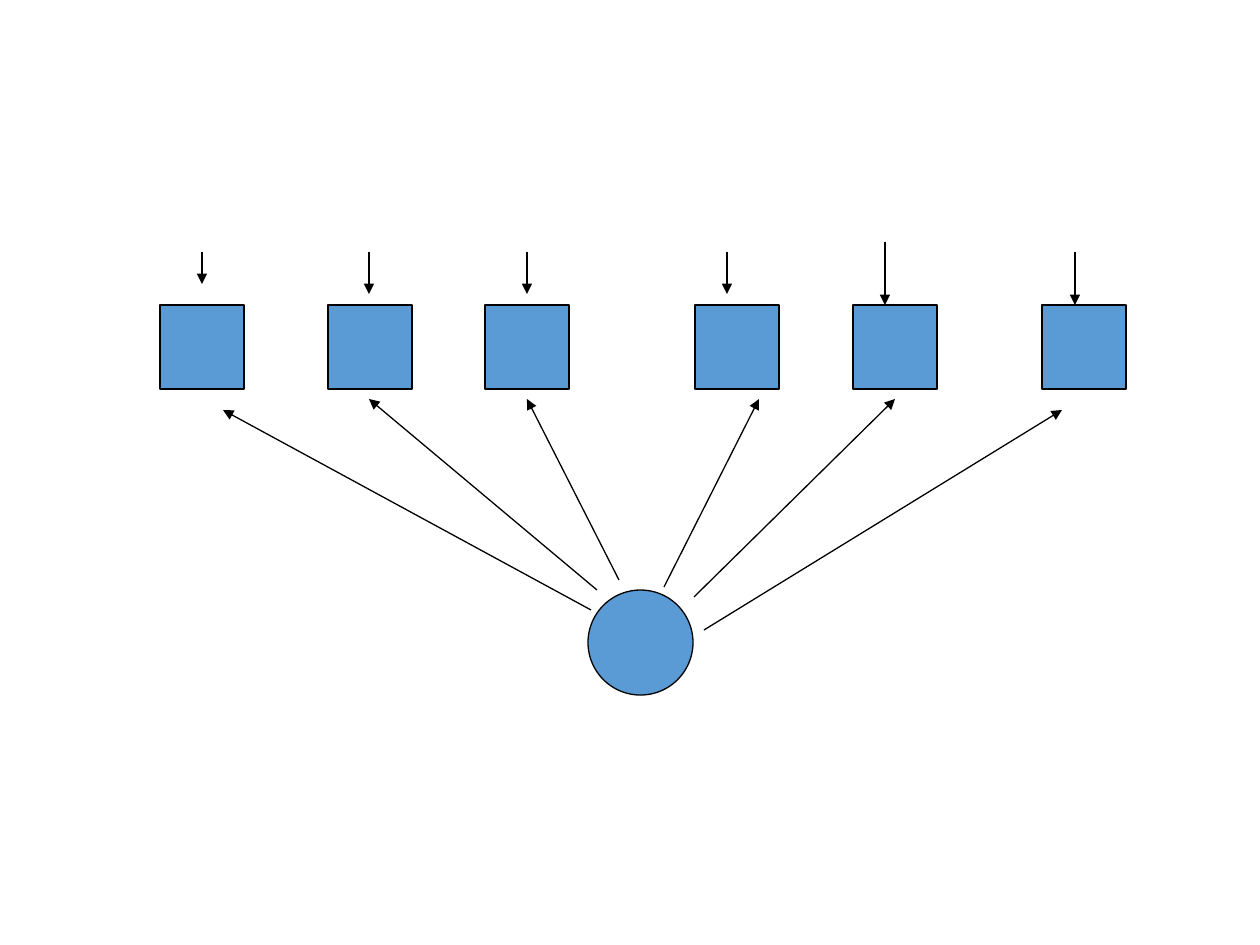
from pptx import Presentation
from pptx import util as u
from pptx.dml.color import RGBColor
from pptx.enum import shapes
from pptx.oxml.ns import qn
from lxml import etree

COLORS = {"node": "5B9BD5", "line": "000000"}
SCALE = 914400 / 126
SLIDE_SIZE = (1260, 945)

BOX_LEFTS = [160, 328, 485, 695, 853, 1042]
BOX_TOP, BOX_SIZE = 305, 84
HUB_LEFT, HUB_TOP, HUB_SIZE = 588, 590, 105

HUB_ARROWS = [
    ((591, 610), (223, 410)),
    ((597, 590), (369, 399)),
    ((619, 580), (527, 399)),
    ((664, 587), (759, 399)),
    ((694, 597), (895, 399)),
    ((704, 630), (1062, 410)),
]
INPUT_ARROWS = [
    (1075, 252, 305),
    (885, 242, 305),
    (727, 252, 294),
    (527, 252, 294),
    (369, 252, 294),
    (202, 252, 284),
]


def px(value):
    return u.Emu(round(value * SCALE))


def format_line(line):
    line.color.rgb = RGBColor.from_string(COLORS["line"])
    line.width = u.Pt(0.75)


def add_node(slide, kind, left, top, size):
    shape = slide.shapes.add_shape(kind, px(left), px(top), px(size), px(size))
    shape.shadow.inherit = False
    shape.fill.solid()
    shape.fill.fore_color.rgb = RGBColor.from_string(COLORS["node"])
    format_line(shape.line)


def add_arrow(slide, start, end):
    points = [px(value) for value in (*start, *end)]
    connector = slide.shapes.add_connector(shapes.MSO_CONNECTOR.STRAIGHT, *points)
    format_line(connector.line)
    properties = connector._element.spPr
    etree.SubElement(properties.find(qn("a:ln")), qn("a:tailEnd"), type="triangle")
    etree.SubElement(properties, qn("a:effectLst"))


def main():
    presentation = Presentation()
    presentation.slide_width, presentation.slide_height = map(px, SLIDE_SIZE)
    slide = presentation.slides.add_slide(presentation.slide_layouts[6])
    for left in BOX_LEFTS:
        add_node(slide, shapes.MSO_SHAPE.RECTANGLE, left, BOX_TOP, BOX_SIZE)
    add_node(slide, shapes.MSO_SHAPE.OVAL, HUB_LEFT, HUB_TOP, HUB_SIZE)
    for start, end in HUB_ARROWS:
        add_arrow(slide, start, end)
    for x, top, bottom in INPUT_ARROWS:
        add_arrow(slide, (x, top), (x, bottom))
    presentation.save("out.pptx")


if __name__ == "__main__":
    main()
